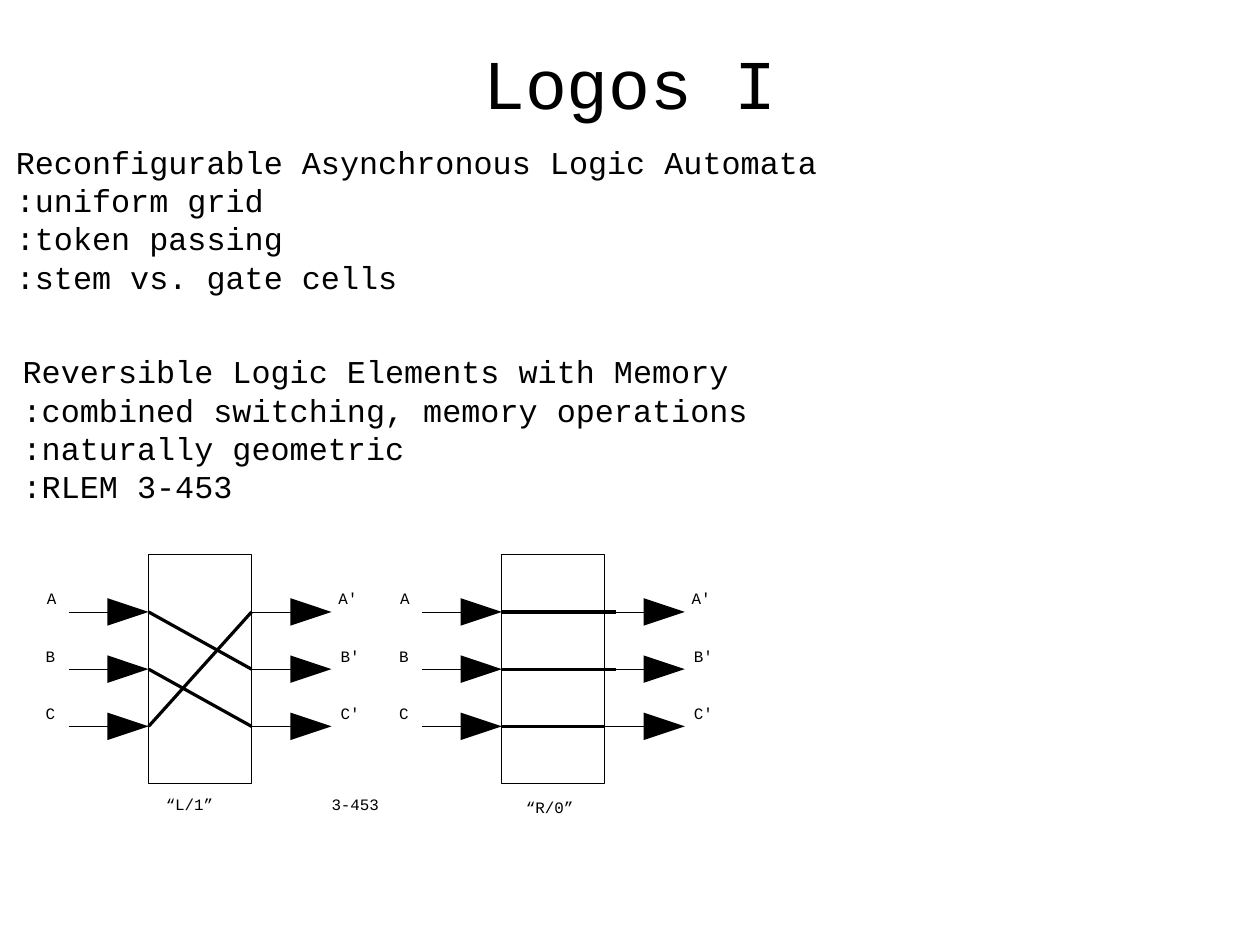
from pptx import Presentation
from pptx.dml.color import RGBColor
from pptx.enum.shapes import MSO_CONNECTOR
from pptx.enum.text import MSO_ANCHOR, MSO_AUTO_SIZE, PP_ALIGN
from pptx.oxml.ns import qn
from pptx.util import Pt
from lxml import etree

BLACK = RGBColor(0x00, 0x00, 0x00)
WHITE = RGBColor(0xFF, 0xFF, 0xFF)
STRAIGHT = MSO_CONNECTOR.STRAIGHT
CENTER = PP_ALIGN.CENTER
LEFT = PP_ALIGN.LEFT
TOP = MSO_ANCHOR.TOP
MIDDLE = MSO_ANCHOR.MIDDLE
NO_AUTOSIZE = MSO_AUTO_SIZE.NONE

PX = 9144
FONT = "Courier New"
TITLE_ONLY = 5
HAIRLINE = 0
THIN = 0.09

CELL_TOP, CELL_WIDTH, CELL_HEIGHT = 485, 90, 200
PORT_TOP, PORT_STEP = 535, 50
LEAD, HEAD_START, HEAD_LENGTH, HEAD_HALF = 36, 34, 36, 12

AUTOMATA = [
    "Reconfigurable Asynchronous Logic Automata",
    ":uniform grid",
    ":token passing",
    ":stem vs. gate cells",
]
MEMORY = [
    "Reversible Logic Elements with Memory",
    ":combined switching, memory operations",
    ":naturally geometric",
    ":RLEM 3-453",
]


def write(frame, lines, size=10, align=LEFT, anchor=TOP, inset_x=0, inset_y=0):
    frame.word_wrap = True
    frame.auto_size = NO_AUTOSIZE
    frame.vertical_anchor = anchor
    frame.margin_left = frame.margin_right = inset_x * PX
    frame.margin_top = frame.margin_bottom = inset_y * PX
    for index, line in enumerate(lines):
        paragraph = frame.add_paragraph() if index else frame.paragraphs[0]
        paragraph.alignment = align
        run = paragraph.add_run()
        run.text = line
        run.font.name = FONT
        run.font.size = Pt(size)
        run.font.color.rgb = BLACK


class Board:
    def __init__(self, slide):
        self.slide = slide
        self.shapes = slide.shapes

    def title(self, text, left, top, width, height):
        heading = self.shapes.title
        heading.left, heading.top = left * PX, top * PX
        heading.width, heading.height = width * PX, height * PX
        write(heading.text_frame, [text], size=44, align=CENTER, anchor=MIDDLE)

    def text(self, lines, left, top, width, height, **style):
        box = self.shapes.add_textbox(left * PX, top * PX, width * PX, height * PX)
        write(box.text_frame, lines, **style)

    def line(self, x1, y1, x2, y2, weight=HAIRLINE):
        wire = self.shapes.add_connector(
            STRAIGHT, x1 * PX, y1 * PX, x2 * PX, y2 * PX)
        wire.line.color.rgb = BLACK
        wire.line.width = Pt(weight)
        etree.SubElement(wire._element.spPr, qn("a:effectLst"))

    def polygon(self, points, fill, outlined=False):
        builder = self.shapes.build_freeform(*points[0], scale=PX)
        builder.add_line_segments(points[1:], close=True)
        outline = builder.convert_to_shape()
        outline.shadow.inherit = False
        outline.fill.solid()
        outline.fill.fore_color.rgb = fill
        if outlined:
            outline.line.color.rgb = BLACK
            outline.line.width = Pt(HAIRLINE)
        else:
            outline.line.fill.background()

    def arrow(self, x, y):
        self.line(x, y, x + LEAD, y, THIN)
        base = x + HEAD_START
        self.polygon([(base + HEAD_LENGTH, y), (base, y - HEAD_HALF),
                      (base, y + HEAD_HALF)], BLACK)

    def cell(self, left, wires):
        right, bottom = left + CELL_WIDTH, CELL_TOP + CELL_HEIGHT
        self.polygon([(left, bottom), (left, CELL_TOP), (right, CELL_TOP),
                      (right, bottom)], WHITE, outlined=True)
        ports = [PORT_TOP + PORT_STEP * row for row in range(3)]
        for port, y in zip("ABC", ports):
            self.arrow(left - LEAD - HEAD_START, y)
            self.arrow(right, y)
            nudge = 1 if port == "A" else 0
            self.text([port], left - 90 + nudge, y - 20, 28, 28)
            self.text([port + "'"], left + 168 - 2 * nudge, y - 20, 33, 28)
        for source, target, length in wires:
            self.line(left, ports[source], left + length, ports[target])


def main():
    deck = Presentation()
    deck.slide_width, deck.slide_height = 1102 * PX, 827 * PX
    board = Board(deck.slides.add_slide(deck.slide_layouts[TITLE_ONLY]))

    board.title("Logos I", 55, 6, 992, 130)
    board.text(AUTOMATA, 4, 120, 1090, 177, size=20, inset_x=10, inset_y=5)
    board.text(MEMORY, 10, 303, 750, 177, size=20, inset_x=10, inset_y=5)

    board.cell(130, [(2, 0, 90), (0, 1, 90), (1, 2, 90)])
    board.cell(439, [(0, 0, 100), (1, 1, 100), (2, 2, 90)])

    board.text(["“L/1”"], 145, 695, 58, 28)
    board.text(["3-453"], 290, 695, 83, 28)
    board.text(["“R/0”"], 460, 697, 50, 28)

    deck.save("out.pptx")


if __name__ == "__main__":
    main()
